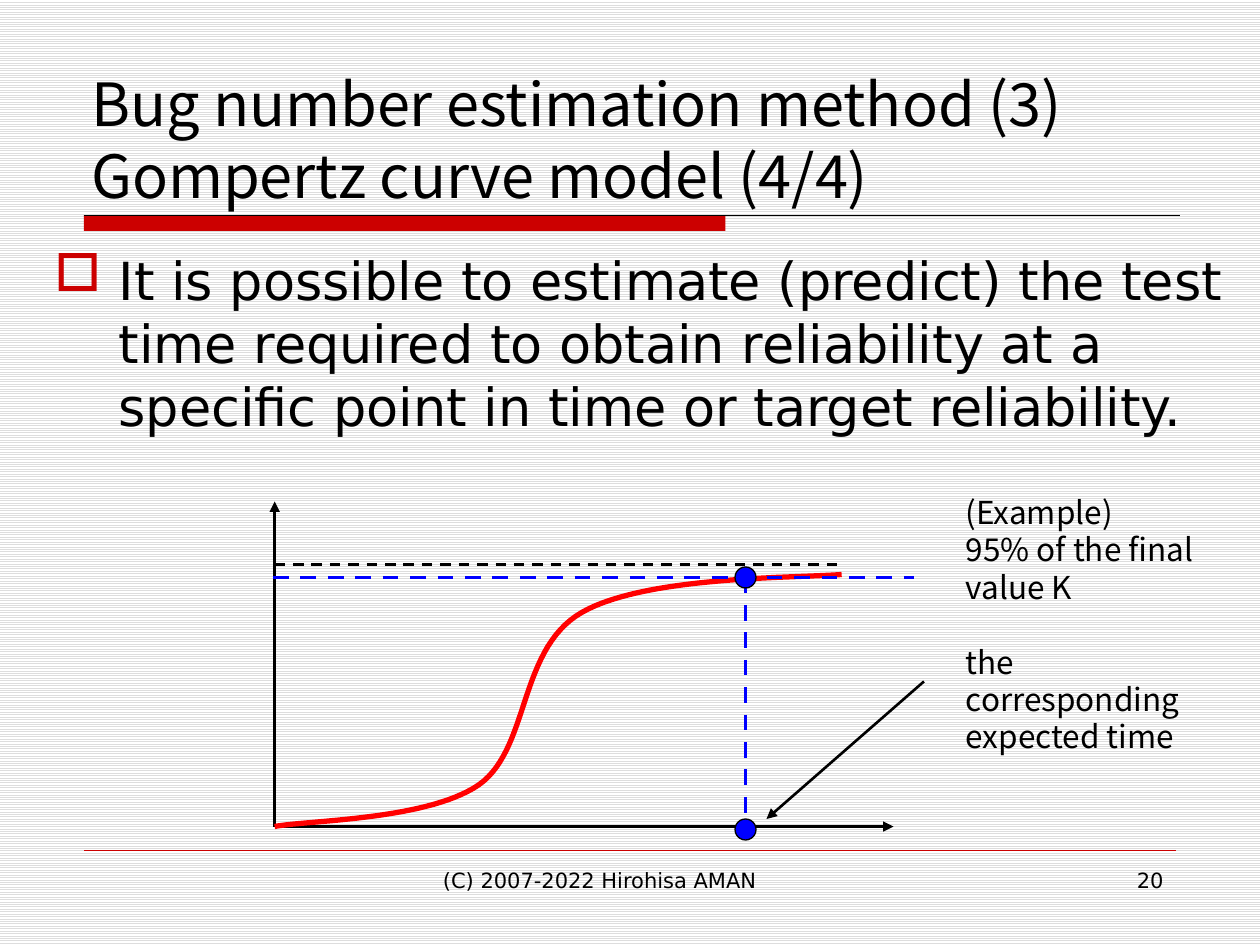
from dataclasses import dataclass
from typing import Optional

from lxml.etree import SubElement
from pptx import Presentation
from pptx.dml.color import RGBColor
from pptx.enum.dml import MSO_LINE_DASH_STYLE as Dash, MSO_PATTERN_TYPE as Pattern
from pptx.enum.shapes import MSO_CONNECTOR_TYPE as Connector, MSO_SHAPE as Shape
from pptx.enum.text import MSO_ANCHOR as Anchor, PP_ALIGN as Align
from pptx.oxml.ns import qn
from pptx.util import Emu, Inches, Pt

COLUMNS, ROWS = 120, 90
WIDTH, HEIGHT = Inches(10), Inches(7.5)
Point = tuple[float, float]


@dataclass(frozen=True)
class Theme:
    black: str = "000000"
    white: str = "FFFFFF"
    stripe: str = "DDDDDD"
    accent: str = "CC0000"
    curve: str = "FF0000"
    target: str = "0000FF"
    sans: str = "DejaVu Sans"
    heading: str = "Noto Sans CJK JP"
    title_size: float = 34
    body_size: float = 30
    note_size: float = 18
    footer_size: float = 12
    hairline: float = 0.25
    thin: float = 0.75
    medium: float = 1.5
    thick: float = 2.25
    heavy: float = 3


THEME = Theme()


@dataclass(frozen=True)
class Label:
    box: tuple[float, float, float, float]
    paragraphs: tuple[str, ...]
    size: float
    font: str = THEME.sans
    align: Align = Align.LEFT
    frame_format: Optional[dict] = None
    leading: Optional[float] = None
    gap: float = 0
    bullet: Optional[str] = None


@dataclass(frozen=True)
class Segment:
    start: Point
    end: Point
    color: str = THEME.black
    width: float = THEME.medium
    dashed: bool = False
    arrow: bool = False


ORIGIN = (26.16, 78.72)
TARGET_X, TARGET_Y, TIME_Y = 71, 55, 79
LIMIT_X = 80.16

LABELS = (
    Label((41, 82, 38, 6.25), ("(C) 2007-2022 Hirohisa AMAN",), THEME.footer_size),
    Label((86, 82, 26, 6.25), ("20",), THEME.footer_size, align=Align.RIGHT),
    Label((7.5, 4, 105, 16),
          ("Bug number estimation method (3)\vGompertz curve model (4/4)",),
          THEME.title_size, THEME.heading, leading=41,
          frame_format={"vertical_anchor": Anchor.BOTTOM, "margin_bottom": 0}),
    Label((4, 23, 116, 56),
          ("It is possible to estimate (predict) the test time required to obtain "
           "reliability at a specific point in time or target reliability.",),
          THEME.body_size, bullet="□"),
    Label((90.8, 46, 26, 23),
          ("(Example)", "95% of the final\vvalue K", "the corresponding expected time"),
          THEME.note_size, THEME.heading, leading=21.4, gap=21.4,
          frame_format={"margin_top": Inches(0.08)}),
)
RULES = (
    Segment((8, 20.5), (112.4, 20.5), width=THEME.thin),
    Segment((8, 81), (112, 81), THEME.accent, THEME.hairline),
)
AXES = (
    Segment(ORIGIN, (ORIGIN[0], 47.76), arrow=True),
    Segment(ORIGIN, (85.1, ORIGIN[1]), arrow=True),
)
GUIDES = (
    Segment((ORIGIN[0], 53.76), (LIMIT_X, 53.76), dashed=True),
    Segment((26, TARGET_Y), (87, TARGET_Y), THEME.target, THEME.thick, dashed=True),
    Segment((TARGET_X, TARGET_Y), (TARGET_X, TIME_Y), THEME.target, THEME.thick, dashed=True),
    Segment((88, 64.9), (73, 78), arrow=True),
)
GROWTH = (
    ORIGIN, (29.4, 78.12), (40.68, 78.12), (45.6, 74.76), (50.52, 71.28),
    (49.32, 61.8), (55.44, 58.32), (61.56, 54.84), (75.6, 55.08), (LIMIT_X, 54.72),
)


def column(value: float) -> Emu:
    """Convert grid columns to a length."""
    return Emu(round(WIDTH * value / COLUMNS))


def row(value: float) -> Emu:
    """Convert grid rows to a length."""
    return Emu(round(HEIGHT * value / ROWS))


def color(value: str) -> RGBColor:
    """Convert a hex value to a colour."""
    return RGBColor.from_string(value)


def add_bullet(paragraph, character: str) -> None:
    """Give a paragraph a hanging bullet in the accent colour."""
    properties = paragraph._p.get_or_add_pPr()
    indent = Inches(0.51)
    for name, value in {"marL": indent, "indent": -indent}.items():
        properties.set(name, str(value))
    bullet_color = SubElement(properties, qn("a:buClr"))
    SubElement(bullet_color, qn("a:srgbClr"), val=THEME.accent)
    SubElement(properties, qn("a:buChar"), char=character)


def add_label(slide, label: Label) -> None:
    """Draw a wrapped text box."""
    left, top, width, height = label.box
    frame = slide.shapes.add_textbox(column(left), row(top), column(width), row(height)).text_frame
    for name, value in {"word_wrap": True, **(label.frame_format or {})}.items():
        setattr(frame, name, value)
    for index, text in enumerate(label.paragraphs):
        paragraph = frame.add_paragraph() if index else frame.paragraphs[0]
        paragraph.text = text
        paragraph.alignment = label.align
        if label.leading:
            paragraph.line_spacing = Pt(label.leading)
        if label.gap and index == len(label.paragraphs) - 1:
            paragraph.space_before = Pt(label.gap)
        if label.bullet:
            add_bullet(paragraph, label.bullet)
        for run in paragraph.runs:
            for name, value in {"name": label.font, "size": Pt(label.size)}.items():
                setattr(run.font, name, value)
            run.font.color.rgb = color(THEME.black)


def add_segment(slide, segment: Segment) -> None:
    """Draw a straight line, dashed or arrowed where asked."""
    (x1, y1), (x2, y2) = segment.start, segment.end
    connector = slide.shapes.add_connector(
        Connector.STRAIGHT, column(x1), row(y1), column(x2), row(y2))
    connector.line.width = Pt(segment.width)
    connector.line.color.rgb = color(segment.color)
    if segment.dashed:
        connector.line.dash_style = Dash.DASH
    properties = connector._element.spPr
    if segment.arrow:
        SubElement(properties.find(qn("a:ln")), qn("a:tailEnd"), type="triangle")
    SubElement(properties, qn("a:effectLst"))


def add_solid(slide, kind: Shape, box: tuple[float, ...], fill: str,
              outline: Optional[str] = None) -> None:
    """Draw a filled preset shape."""
    left, top, width, height = box
    shape = slide.shapes.add_shape(kind, column(left), row(top), column(width), row(height))
    shape.shadow.inherit = False
    shape.fill.solid()
    shape.fill.fore_color.rgb = color(fill)
    if outline:
        shape.line.color.rgb = color(outline)
        shape.line.width = Pt(THEME.thin)
    else:
        shape.line.fill.background()


def bezier(controls: tuple[Point, ...], share: float) -> Point:
    """Find the point at a share of a cubic curve."""
    rest = 1 - share
    weights = (rest ** 3, 3 * rest ** 2 * share, 3 * rest * share ** 2, share ** 3)
    x, y = (sum(w * p[axis] for w, p in zip(weights, controls)) for axis in (0, 1))
    return column(x), row(y)


def add_curve(slide, points: tuple[Point, ...], steps: int = 30) -> None:
    """Draw chained cubic curves as one open outline."""
    vertices = [bezier(points[first:first + 4], step / steps)
                for first in range(0, len(points) - 1, 3) for step in range(1, steps + 1)]
    builder = slide.shapes.build_freeform(column(points[0][0]), row(points[0][1]))
    builder.add_line_segments(vertices, close=False)
    shape = builder.convert_to_shape()
    shape.shadow.inherit = False
    shape.fill.background()
    shape.line.color.rgb = color(THEME.curve)
    shape.line.width = Pt(THEME.heavy)


def main() -> None:
    """Build and save the slide."""
    presentation = Presentation()
    presentation.slide_width, presentation.slide_height = WIDTH, HEIGHT
    slide = presentation.slides.add_slide(presentation.slide_layouts[6])
    background = slide.background.fill
    background.patterned()
    background.pattern = Pattern.LIGHT_HORIZONTAL
    background.fore_color.rgb = color(THEME.stripe)
    background.back_color.rgb = color(THEME.white)
    add_solid(slide, Shape.RECTANGLE, (8, 20.5, 61.1, 1.5), THEME.accent)
    for segment in RULES + AXES:
        add_segment(slide, segment)
    add_curve(slide, GROWTH)
    for segment in GUIDES:
        add_segment(slide, segment)
    for label in LABELS:
        add_label(slide, label)
    for y in (TIME_Y, TARGET_Y):
        add_solid(slide, Shape.OVAL, (TARGET_X - 1, y - 1, 2, 2), THEME.target, THEME.black)
    presentation.save("out.pptx")


if __name__ == "__main__":
    main()
